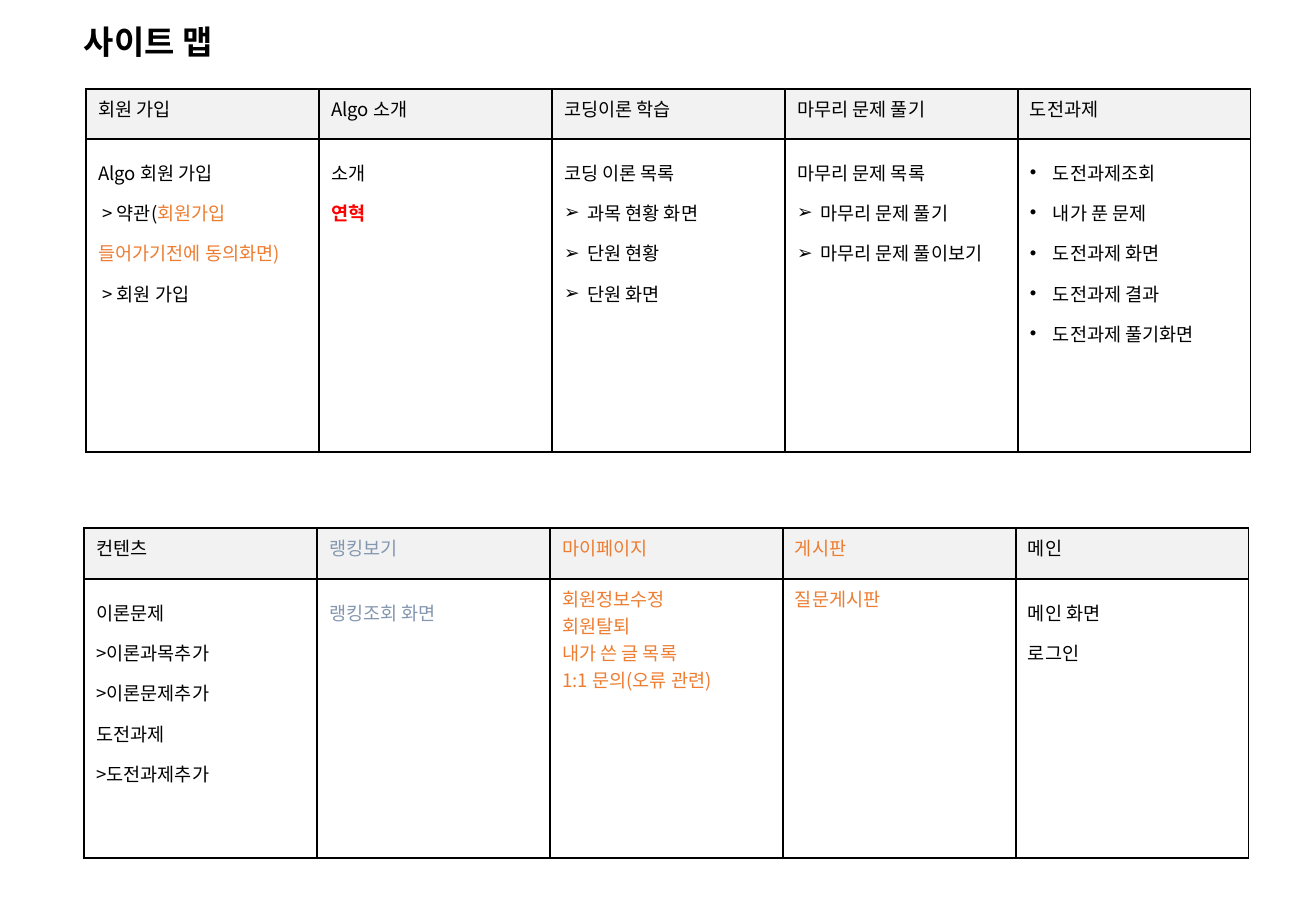
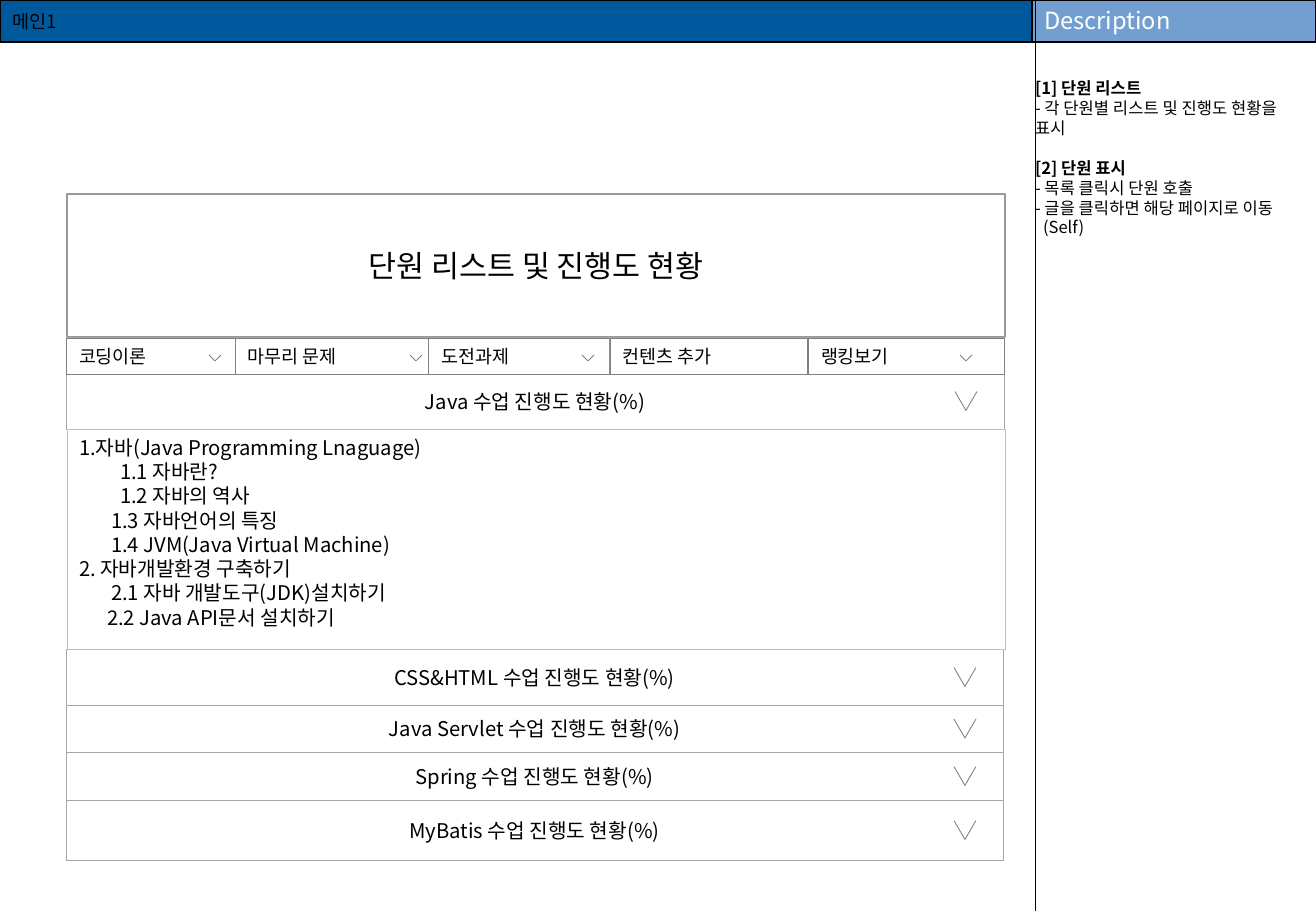
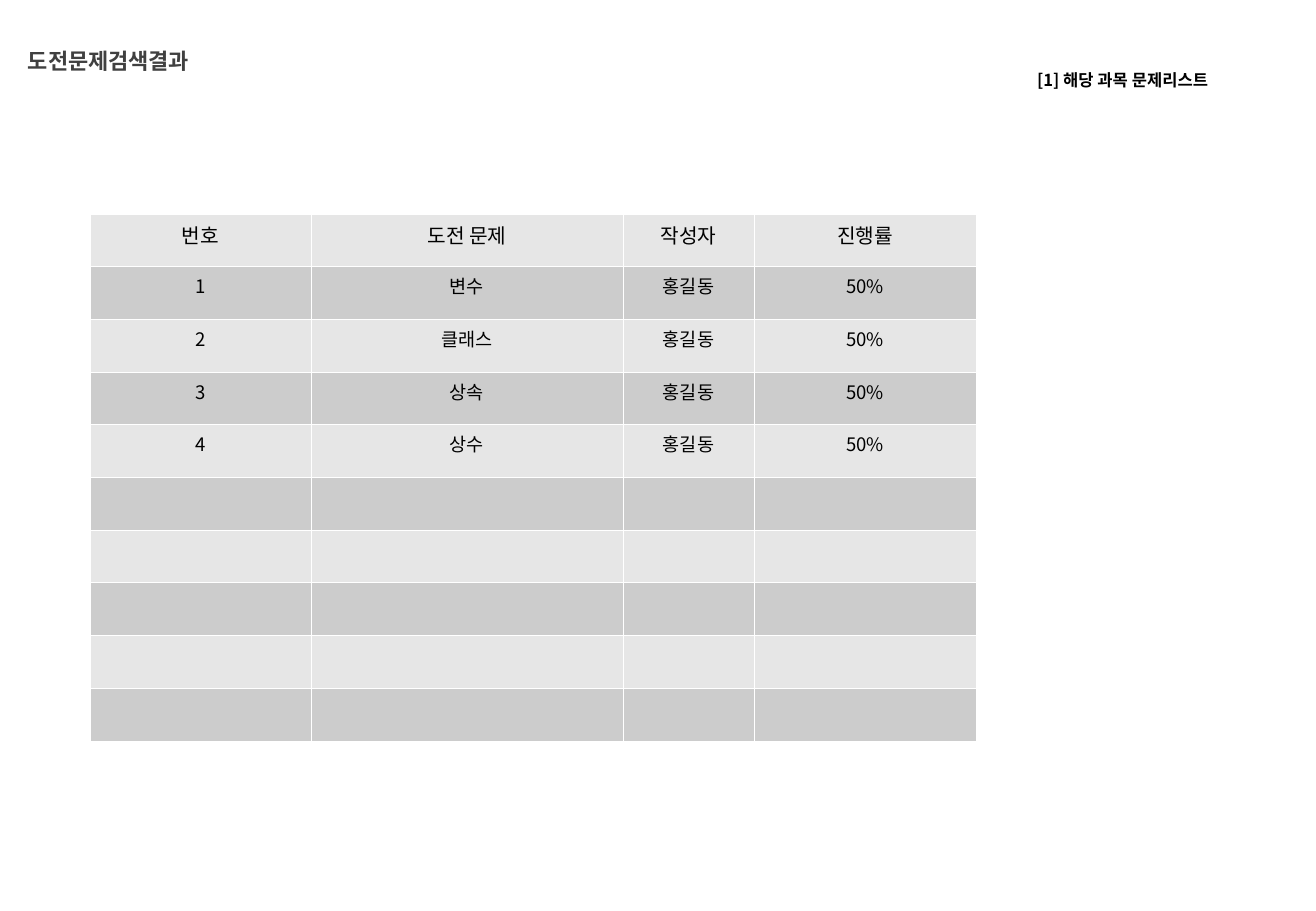
from dataclasses import dataclass

from lxml.etree import SubElement
from pptx import Presentation
from pptx.dml.color import RGBColor
from pptx.enum.shapes import MSO_CONNECTOR, MSO_SHAPE
from pptx.enum.text import MSO_ANCHOR, PP_ALIGN
from pptx.oxml.ns import qn
from pptx.util import Pt

PX = 7526  # EMU in one px
WIDE, HIGH = 1316, 911
FONT = "Noto Sans CJK KR"
BLACK, WHITE, GREY = "000000", "FFFFFF", "808080"
ORANGE, SLATE, RED = "ED7D31", "8497B0", "FF0000"
PALE, EDGE = "F2F2F2", "A6A6A6"
CELL = (12, 6, 12, 6)


@dataclass
class Line:
    text: str
    hue: str = BLACK
    bold: bool = False
    pitch: float = 0   # line spacing, 0 for the default
    before: float = 0  # points above
    mark: str = ""     # bullet
    left: int = 0      # px of indent
    tail: str = ""     # orange ending


def px(n):
    return round(n * PX)


def rgb(code):
    return RGBColor.from_string(code)


# Text
def style(run, size, hue, bold, face=FONT):
    font = run.font
    font.size, font.bold, font.name = Pt(size), bold, face
    font.color.rgb = rgb(hue)
    SubElement(run.font._element, qn("a:ea")).set("typeface", FONT)


def bullet(para, mark):
    props = para._p.get_or_add_pPr()
    props.set("marL", str(px(23)))
    props.set("indent", str(-px(23)))
    SubElement(props, qn("a:buFont")).set("typeface", "Arial")
    SubElement(props, qn("a:buChar")).set("char", mark)


def write(frame, lines, size, align=PP_ALIGN.LEFT, face=FONT):
    for i, line in enumerate(lines):
        para = frame.add_paragraph() if i else frame.paragraphs[0]
        para.text = line.text
        para.alignment = align
        if line.pitch:
            para.line_spacing = line.pitch
        if line.before:
            para.space_before = Pt(line.before)
        if line.left:
            para._p.get_or_add_pPr().set("marL", str(px(line.left)))
        if line.mark:
            bullet(para, line.mark)
        for run in para.runs:
            style(run, size, line.hue, line.bold, face)
        if line.tail:
            run = para.add_run()
            run.text = line.tail
            style(run, size, ORANGE, line.bold, face)


def inset(frame, pads, anchor):
    frame.word_wrap = True
    frame.vertical_anchor = anchor
    (frame.margin_left, frame.margin_top,
     frame.margin_right, frame.margin_bottom) = map(px, pads)


def label(slide, box, lines, size, pads=CELL, anchor=MSO_ANCHOR.TOP,
          align=PP_ALIGN.LEFT, face=FONT):
    frame = slide.shapes.add_textbox(*map(px, box)).text_frame
    inset(frame, pads, anchor)
    write(frame, lines, size, align, face)


# Shapes
def panel(slide, box, lines, size, fill=WHITE, edge=EDGE, weight=0.25,
          pads=CELL, anchor=MSO_ANCHOR.MIDDLE, align=PP_ALIGN.LEFT):
    shape = slide.shapes.add_shape(MSO_SHAPE.RECTANGLE, *map(px, box))
    paint(shape, fill, edge, weight)
    inset(shape.text_frame, pads, anchor)
    write(shape.text_frame, lines, size, align)


def paint(shape, fill, edge, weight):
    shape.shadow.inherit = False
    shape.fill.solid()
    shape.fill.fore_color.rgb = rgb(fill)
    shape.line.color.rgb = rgb(edge)
    shape.line.width = Pt(weight)


def arrow(slide, mid, y, wide, high):
    """Open chevron centred on (mid, y)."""
    x, top = mid - wide / 2, y - high / 2
    path = slide.shapes.build_freeform(px(x), px(top))
    path.add_line_segments([(px(mid), px(top + high)),
                            (px(x + wide), px(top))], close=False)
    paint(path.convert_to_shape(), WHITE, GREY, 0.5)


def rule(slide, x, top, end):
    line = slide.shapes.add_connector(
        MSO_CONNECTOR.STRAIGHT, px(x), px(top), px(x), px(end))
    line.line.color.rgb = rgb(BLACK)
    line.line.width = Pt(0.5)
    SubElement(line._element.spPr, qn("a:effectLst"))


# Tables
def border(cell, sides):
    props = cell._tc.get_or_add_tcPr()
    for side, (hue, weight) in sides.items():
        line = SubElement(props, qn("a:ln" + side), w=str(Pt(weight)))
        fill = SubElement(line, qn("a:solidFill"))
        SubElement(fill, qn("a:srgbClr"), val=hue)


def table(slide, at, cols, rows, sides):
    box = (*at, sum(cols), sum(rows))
    grid = slide.shapes.add_table(len(rows), len(cols), *map(px, box)).table
    grid.first_row = grid.horz_banding = False
    for col, wide in zip(grid.columns, cols):
        col.width = px(wide)
    for row, high in zip(grid.rows, rows):
        row.height = px(high)
    for cell in grid.iter_cells():
        border(cell, sides)
        inset(cell.text_frame, CELL, MSO_ANCHOR.TOP)
    return grid


def shade(cell, hue):
    cell.fill.solid()
    cell.fill.fore_color.rgb = rgb(hue)


def sitemap(slide, at, rows, groups):
    thin, thick = (BLACK, 0.75), (BLACK, 1)
    sides = {"L": thick, "R": thick, "T": thin, "B": thin}
    grid = table(slide, at, [233] * len(groups), rows, sides)
    for i, (head, items) in enumerate(groups):
        for cell, lines, hue in ((grid.cell(0, i), [head], PALE),
                                 (grid.cell(1, i), items, WHITE)):
            shade(cell, hue)
            write(cell.text_frame, lines, 11)


def loose(*texts, hue=BLACK, mark=""):
    return [Line(t, hue, pitch=1.5, mark=mark) for t in texts]


def tight(*texts):
    return [Line(t, ORANGE) for t in texts]


# Notes column of the wireframes
def notes(slide, x, lines):
    label(slide, (x, 42, WIDE - x, HIGH - 42), lines, 9.8, (5, 36, 5, 0))


# Slide 1: site map
def map_slide(slide):
    label(slide, (84, 0, 795, 83), [Line("사이트 맵", bold=True)], 19.5,
          (0, 0, 0, 0), MSO_ANCHOR.MIDDLE, face="Arial")
    sitemap(slide, (86, 89), (50, 313), [
        (Line("회원 가입"), [
            *loose("Algo 회원 가입"),
            Line(" > 약관(", pitch=1.5, tail="회원가입 들어가기전에 동의화면)"),
            *loose(" > 회원 가입")]),
        (Line("Algo 소개"), [
            *loose("소개"), Line("연혁", RED, True, 1.5)]),
        (Line("코딩이론 학습"), [
            *loose("코딩 이론 목록"),
            *loose("과목 현황 화면", "단원 현황", "단원 화면", mark="➢")]),
        (Line("마무리 문제 풀기"), [
            *loose("마무리 문제 목록"),
            *loose("마무리 문제 풀기", "마무리 문제 풀이보기", mark="➢")]),
        (Line("도전과제"),
         loose("도전과제조회", "내가 푼 문제", "도전과제 화면",
               "도전과제 결과", "도전과제 풀기화면", mark="•")),
    ])
    sitemap(slide, (84, 528), (51, 279), [
        (Line("컨텐츠"),
         loose("이론문제", ">이론과목추가", ">이론문제추가",
               "도전과제", ">도전과제추가")),
        (Line("랭킹보기", SLATE), loose("랭킹조회 화면", hue=SLATE)),
        (Line("마이페이지", ORANGE),
         tight("회원정보수정", "회원탈퇴", "내가 쓴 글 목록",
               "1:1 문의(오류 관련)")),
        (Line("게시판", ORANGE), tight("질문게시판")),
        (Line("메인"), loose("메인 화면", "로그인")),
    ])


# Slide 2: chapter list
def header(slide, split, high):
    panel(slide, (0, 0, split, high), [Line("메인1")], 11,
          "00599D", BLACK, 0.75)
    panel(slide, (split, 0, WIDE - split, high),
          [Line("Description", WHITE)], 14, "729FCF", BLACK, 0.75,
          anchor=MSO_ANCHOR.TOP)


def tabs(slide, x, y, high):
    # name, width, distance of the chevron from the right edge
    for name, wide, back in (("코딩이론", 169, 20), ("마무리 문제", 194, 13),
                             ("도전과제", 181, 22), ("컨텐츠 추가", 198, 0),
                             ("랭킹보기", 196, 38)):
        panel(slide, (x, y, wide, high), [Line(name)], 10.9,
              edge=GREY, weight=0.5, pads=(13, 6, 27, 6))
        x += wide
        if back:
            arrow(slide, x - back, y + high / 2 + 2, 12, 6)


def course(slide, box, name):
    x, y, wide, high = box
    panel(slide, box, [Line(f"{name} 수업 진행도 현황(%)")], 12,
          align=PP_ALIGN.CENTER)
    arrow(slide, x + wide - 38, y + high / 2, 22, 19)


def list_slide(slide):
    notes(slide, 1030, [
        Line("[1] 단원 리스트", bold=True),
        Line("- 각 단원별 리스트 및 진행도 현황을 표시"),
        Line("[2] 단원 표시", bold=True, before=12),
        Line("- 목록 클릭시 단원 호출"),
        Line("- 글을 클릭하면 해당 페이지로 이동"),
        Line("(Self)", left=8),
    ])
    header(slide, 1032, 42)
    rule(slide, 1035, 0, HIGH)
    panel(slide, (67, 194, 938, 143), [Line("단원 리스트 및 진행도 현황")], 18,
          edge="999999", weight=0.75, align=PP_ALIGN.CENTER)
    # Courses, the first one unfolded
    course(slide, (66, 373, 938, 56), "Java")
    y = 649
    for name, high in (("CSS&HTML", 56), ("Java Servlet", 47),
                       ("Spring", 48), ("MyBatis", 60)):
        course(slide, (66, y, 937, high), name)
        y += high
    panel(slide, (67, 429, 938, 220), [
        Line("1.자바(Java Programming Lnaguage)"),
        Line("1.1 자바란?", left=41),
        Line("1.2 자바의 역사", left=41),
        Line("1.3 자바언어의 특징", left=32),
        Line("1.4 JVM(Java Virtual Machine)", left=32),
        Line("2. 자바개발환경 구축하기"),
        Line("2.1 자바 개발도구(JDK)설치하기", left=32),
        Line("2.2 Java API문서 설치하기", left=28),
    ], 12, edge="BFBFBF", anchor=MSO_ANCHOR.TOP)
    tabs(slide, 66, 338, 36)


# Slide 3: search results
def result_slide(slide):
    notes(slide, 1032, [Line("[1] 해당 과목 문제리스트", bold=True)])
    label(slide, (9, 42, 199, 39), [Line("도전문제검색결과", "404040", True)],
          13, align=PP_ALIGN.CENTER)
    count, high = 10, 527
    rows = [high * (i + 1) // count - high * i // count for i in range(count)]
    grid = table(slide, (90, 214), (221, 312, 131, 222), rows,
                 dict.fromkeys("LRTB", (WHITE, 0.06)))
    data = [("번호", "도전 문제", "작성자", "진행률")]
    data += [(str(i), topic, "홍길동", "50%") for i, topic
             in enumerate(("변수", "클래스", "상속", "상수"), 1)]
    for r in range(count):
        for c in range(4):
            cell = grid.cell(r, c)
            shade(cell, "CCCCCC" if r % 2 else "E6E6E6")
            if r < len(data):
                write(cell.text_frame, [Line(data[r][c])], 11 if r else 12,
                      PP_ALIGN.CENTER)


def main():
    deck = Presentation()
    deck.slide_width, deck.slide_height = px(WIDE), px(HIGH)
    for build in (map_slide, list_slide, result_slide):
        build(deck.slides.add_slide(deck.slide_layouts[6]))
    deck.save("out.pptx")


if __name__ == "__main__":
    main()
